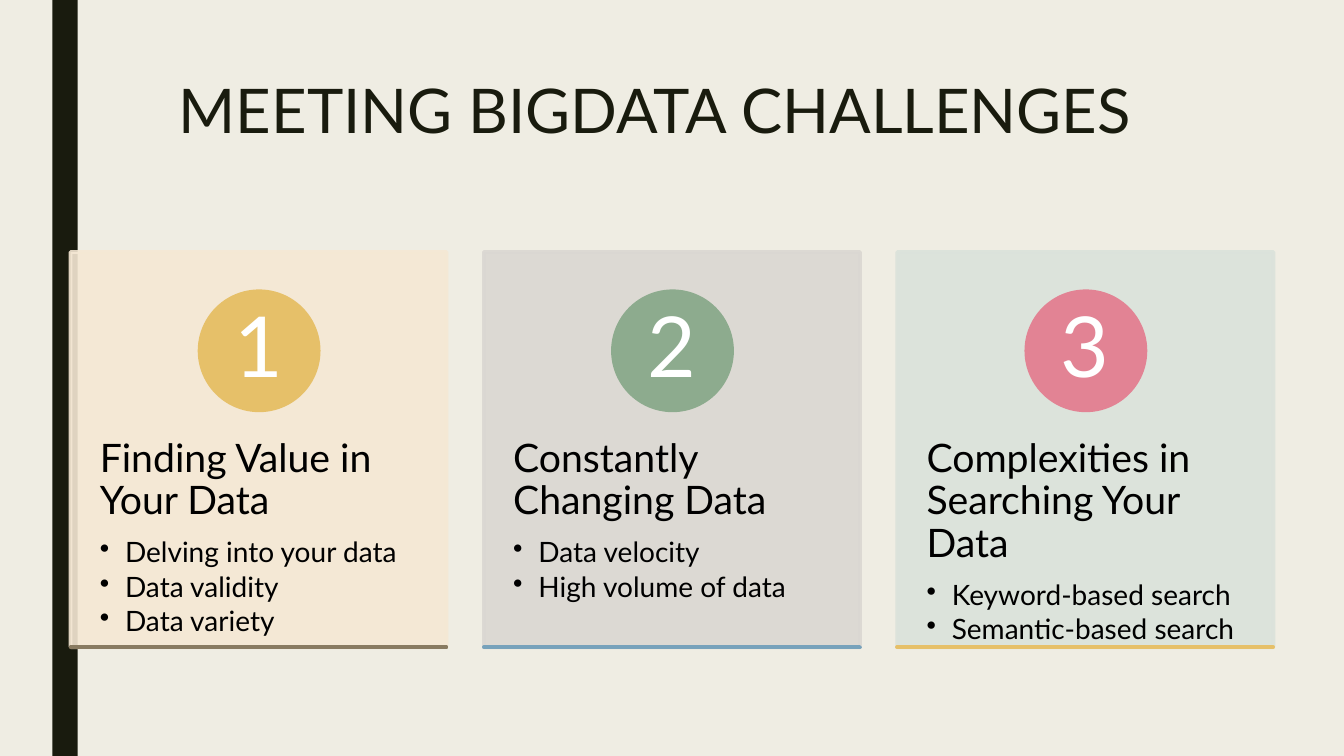
from lxml import etree
from pptx import Presentation
from pptx.dml.color import RGBColor
from pptx.enum import shapes, text
from pptx.oxml.ns import qn
from pptx.util import Inches, Pt


def paint(part, color, opacity=None):
    """Give a shape one colour for fill and outline."""
    part.shadow.inherit = False
    part.fill.solid()
    part.line.width = Pt(2.75)
    for fill in (part.fill, part.line.fill):
        fill.solid()
        fill.fore_color.rgb = RGBColor.from_string(color)
    if opacity:
        for tint in part._element.spPr.iter(qn("a:srgbClr")):
            etree.SubElement(tint, qn("a:alpha")).set("val", str(opacity * 1000))


def style(paragraph, size, color, spacing, after=0):
    paragraph.line_spacing = spacing
    paragraph.space_before = Pt(0)
    paragraph.space_after = Pt(after)
    for run in paragraph.runs:
        run.font.size = Pt(size)
        run.font.name = "Lato"
        run.font.color.rgb = RGBColor.from_string(color)


prs = Presentation()
prs.slide_width, prs.slide_height = Inches(13.33), Inches(7.5)
slide = prs.slides.add_slide(prs.slide_layouts[5])
slide.background.fill.solid()
slide.background.fill.fore_color.rgb = RGBColor.from_string("EFEDE3")
RECT, OVAL = shapes.MSO_SHAPE.RECTANGLE, shapes.MSO_SHAPE.OVAL

# Dark side bar
side_bar = slide.shapes.add_shape(RECT, Inches(0.52), 0, Inches(0.25), Inches(7.5))
paint(side_bar, "191B0E")
side_bar.line.fill.background()

# Title, set slightly left of centre by its right margin
title = slide.shapes.title
title.left, title.top = Inches(0.7), Inches(0.75)
title.width, title.height = Inches(11.93), Inches(1.62)
title.text_frame.text = "MEETING BIGDATA CHALLENGES"
title.text_frame.vertical_anchor = text.MSO_ANCHOR.TOP
title.text_frame.auto_size = text.MSO_AUTO_SIZE.NONE
title.text_frame.margin_right = Inches(0.43)
title.text_frame.paragraphs[0].alignment = text.PP_ALIGN.CENTER
style(title.text_frame.paragraphs[0], 44, "191B0E", 0.89)

# Challenges: heading, points, card, circle and base line colours
challenges = [
    ("Finding Value in Your Data",
     ["Delving into your data", "Data validity", "Data variety"],
     "F5E8D4", "E6C069", "897B61"),
    ("Constantly Changing Data",
     ["Data velocity", "High volume of data"],
     "DAD7D2", "8DAB8E", "77A2BB"),
    ("Complexities in Searching Your Data",
     ["Keyword-based search", "Semantic-based search"],
     "DBE2DB", "E28394", "E6C069"),
]
card_width = 3.73

for index, (heading, points, card_color, circle_color, base_color) in enumerate(challenges):
    left = 0.7 + 4.1 * index

    # Card
    card = slide.shapes.add_shape(RECT, Inches(left), Inches(2.5),
                                  Inches(card_width), Inches(3.92))
    paint(card, card_color, opacity=90)

    # Heading and bullet points
    body = slide.shapes.add_textbox(Inches(left), Inches(3.99),
                                    Inches(card_width), Inches(2.35)).text_frame
    body.word_wrap = True
    body.margin_left = body.margin_right = Inches(0.29)
    body.margin_top = body.margin_bottom = Inches(0.36)
    body.text = heading
    style(body.paragraphs[0], 28, "000000", 0.9, after=11)
    for point in points:
        bullet = body.add_paragraph()
        bullet.text = point
        bullet.level = 1
        props = bullet._p.get_or_add_pPr()
        props.set("marL", str(Inches(0.25)))
        props.set("indent", str(-Inches(0.25)))
        etree.SubElement(props, qn("a:buChar")).set("char", "•")
        style(bullet, 20, "000000", 0.9, after=3)

    # Numbered circle
    circle = slide.shapes.add_shape(OVAL, Inches(left + 1.28), Inches(2.89),
                                    Inches(1.18), Inches(1.18))
    paint(circle, circle_color)
    number = slide.shapes.add_textbox(Inches(left + 1.45), Inches(3.06),
                                      Inches(0.83), Inches(0.83)).text_frame
    number.word_wrap = True
    number.vertical_anchor = text.MSO_ANCHOR.MIDDLE
    number.margin_left = number.margin_right = Inches(0.09)
    number.margin_top = number.margin_bottom = Inches(0.01)
    number.text = str(index + 1)
    number.paragraphs[0].alignment = text.PP_ALIGN.CENTER
    style(number.paragraphs[0], 60, "FFFFFF", 0.9)

    # Base line
    base = slide.shapes.add_shape(RECT, Inches(left), Inches(6.42), Inches(card_width), 0)
    paint(base, base_color)

prs.save("out.pptx")
